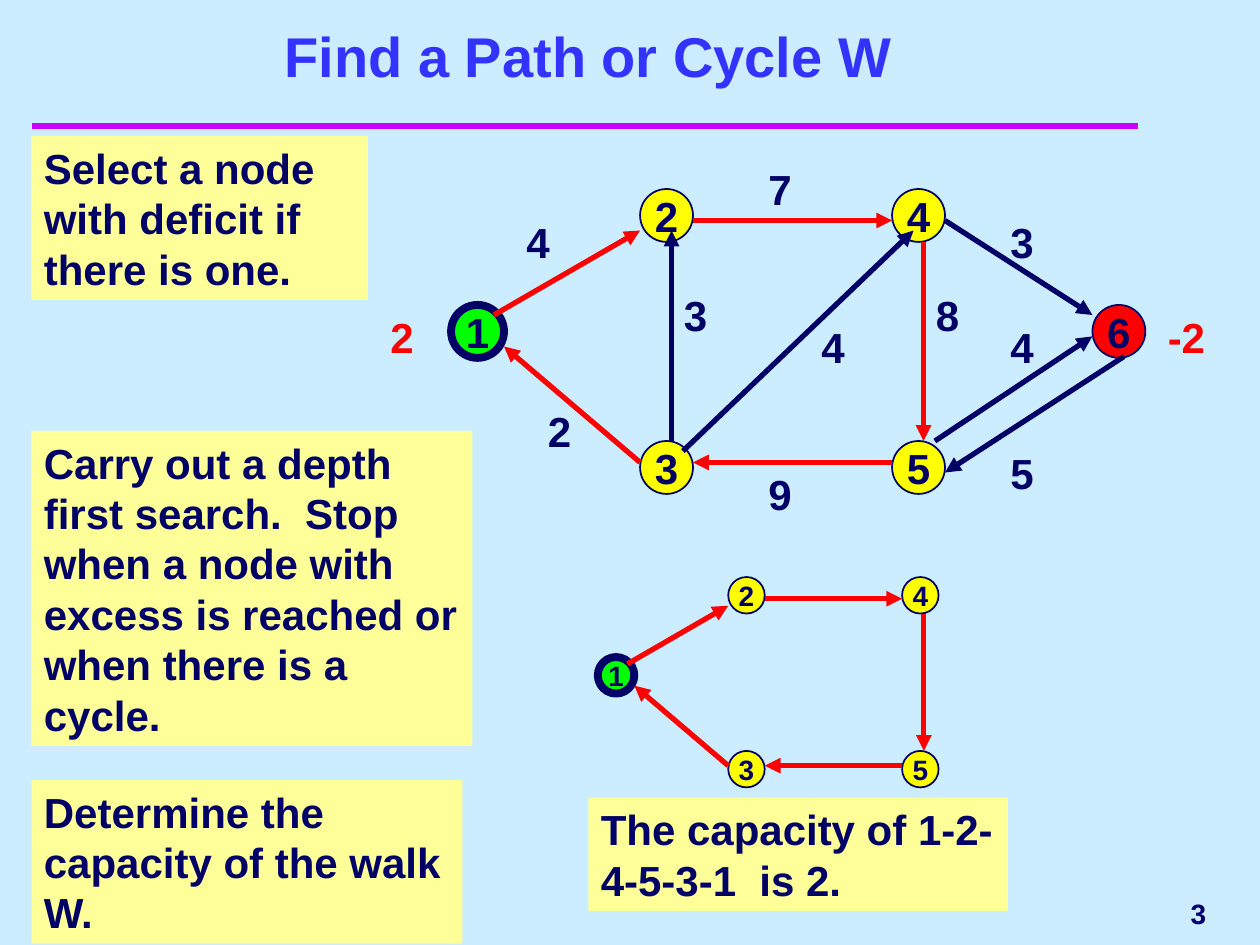
from pptx import Presentation
from pptx.dml.color import RGBColor
from pptx.enum.shapes import MSO_CONNECTOR, MSO_SHAPE
from pptx.enum.text import MSO_ANCHOR, PP_ALIGN
from pptx.oxml.ns import qn
from pptx.util import Inches, Pt
from lxml.etree import SubElement

NAVY = RGBColor(0x00, 0x00, 0x66)
BLUE = RGBColor(0x33, 0x33, 0xFF)
PURPLE = RGBColor(0xCC, 0x00, 0xFF)
RED = RGBColor(0xFF, 0x00, 0x00)
GREEN = RGBColor(0x00, 0xFF, 0x00)
YELLOW = RGBColor(0xFF, 0xFF, 0x00)
CREAM = RGBColor(0xFF, 0xFF, 0x99)
SKY = RGBColor(0xCC, 0xEC, 0xFF)

TITLE = "Find a Path or Cycle W"
NOTES = [
    ("Carry out a depth first search.  Stop when a node with excess is reached "
     "or when there is a cycle.", 0.25, 3.42, 3.5, 2.5),
    ("Select a node with deficit if there is one.", 0.25, 1.08, 2.67, 1.3),
    ("Determine the capacity of the walk W.", 0.25, 6.19, 3.42, 1.3),
    ("The capacity of 1-2-4-5-3-1  is 2.", 4.67, 6.33, 3.33, 0.9),
]
WALK_NODES = [
    ("2", 5.08, 1.5, YELLOW, 1),
    ("4", 7.08, 1.5, YELLOW, 1),
    ("5", 7.08, 3.5, YELLOW, 1),
    ("3", 5.08, 3.5, YELLOW, 1),
    ("1", 3.58, 2.42, GREEN, 4.5),
]
OTHER_NODES = [("6", 8.67, 2.42, RED, 1)]
WALK_EDGES = [
    (3.92, 2.5, 5.08, 1.83),
    (5.5, 1.75, 7.08, 1.75),
    (7.33, 1.92, 7.33, 3.5),
    (7.08, 3.67, 5.5, 3.67),
    (5.08, 3.67, 4, 2.75),
]
OTHER_EDGES = [
    (5.33, 3.5, 5.33, 1.83),
    (5.42, 3.58, 7.25, 1.83),
    (7.42, 3.5, 8.67, 2.67),
    (8.92, 2.83, 7.5, 3.75),
    (7.5, 1.75, 8.67, 2.5),
]
CAPACITIES = [
    ("2", 4.25, 3.17), ("3", 5.33, 2.25), ("4", 4.08, 1.67), ("7", 6, 1.25),
    ("3", 7.92, 1.67), ("4", 6.42, 2.5), ("4", 7.92, 2.5), ("8", 7.33, 2.25),
    ("5", 7.92, 3.5), ("9", 6, 3.67),
]
SUPPLIES = [("2", 3, 2.42), ("-2", 9.17, 2.42)]
NODE_SIZE = 0.42
ORIGIN = (5.08, 1.5)
SMALL_ORIGIN = (5.78, 4.58)
SMALL_SCALE = 0.69


def write(shape, text, size=24, color=NAVY, align=PP_ALIGN.LEFT,
          anchor=MSO_ANCHOR.TOP, wrap=True):
    frame = shape.text_frame
    frame.word_wrap = wrap
    frame.vertical_anchor = anchor
    paragraph = frame.paragraphs[0]
    paragraph.text = text
    paragraph.alignment = align
    font = paragraph.font
    font.name, font.size, font.bold = "Arial", Pt(size), True
    font.color.rgb = color


def add_text(page, text, left, top, width=0.67, height=0.5, **style):
    box = page.shapes.add_textbox(*map(Inches, (left, top, width, height)))
    write(box, text, **style)
    return box


def add_line(page, ends, color, width=3, arrow=True):
    line = page.shapes.add_connector(MSO_CONNECTOR.STRAIGHT, *map(Inches, ends))
    line.line.color.rgb = color
    line.line.width = Pt(width)
    if arrow:
        SubElement(line.line._get_or_add_ln(), qn("a:tailEnd"), type="triangle")
    SubElement(line._element.spPr, qn("a:effectLst"))


def add_graph(page, nodes, edges, origin=ORIGIN, scale=1, size=24):
    def place(x, y):
        return (origin[0] + (x - ORIGIN[0]) * scale,
                origin[1] + (y - ORIGIN[1]) * scale)

    diameter = Inches(NODE_SIZE * scale)
    for name, x, y, fill, outline in nodes:
        left, top = map(Inches, place(x, y))
        node = page.shapes.add_shape(MSO_SHAPE.OVAL, left, top, diameter, diameter)
        node.shadow.inherit = False
        node.fill.solid()
        node.fill.fore_color.rgb = fill
        node.line.color.rgb = NAVY
        node.line.width = Pt(outline)
        write(node, name, size, align=PP_ALIGN.CENTER,
              anchor=MSO_ANCHOR.MIDDLE, wrap=False)
    for x1, y1, x2, y2 in edges:
        color = RED if (x1, y1, x2, y2) in WALK_EDGES else NAVY
        add_line(page, place(x1, y1) + place(x2, y2), color)


deck = Presentation()
deck.slide_width, deck.slide_height = Inches(10), Inches(7.5)
page = deck.slides.add_slide(deck.slide_layouts[6])
page.background.fill.solid()
page.background.fill.fore_color.rgb = SKY

add_line(page, (0.25, 1, 9.03, 1), PURPLE, 4, arrow=False)
add_text(page, "3", 7.75, 7, 1.92, 0.5, size=16, align=PP_ALIGN.RIGHT,
         anchor=MSO_ANCHOR.MIDDLE)
add_text(page, TITLE, 0.42, 0.33, 8.5, 0.42, size=32, color=BLUE,
         align=PP_ALIGN.CENTER, anchor=MSO_ANCHOR.BOTTOM)

add_graph(page, WALK_NODES + OTHER_NODES, OTHER_EDGES + WALK_EDGES)
for labels, color in ((CAPACITIES, NAVY), (SUPPLIES, RED)):
    for text, left, top in labels:
        add_text(page, text, left, top, color=color)

for note in NOTES:
    box = add_text(page, *note)
    box.fill.solid()
    box.fill.fore_color.rgb = CREAM

add_graph(page, WALK_NODES, WALK_EDGES, SMALL_ORIGIN, SMALL_SCALE, 16)

deck.save("out.pptx")
